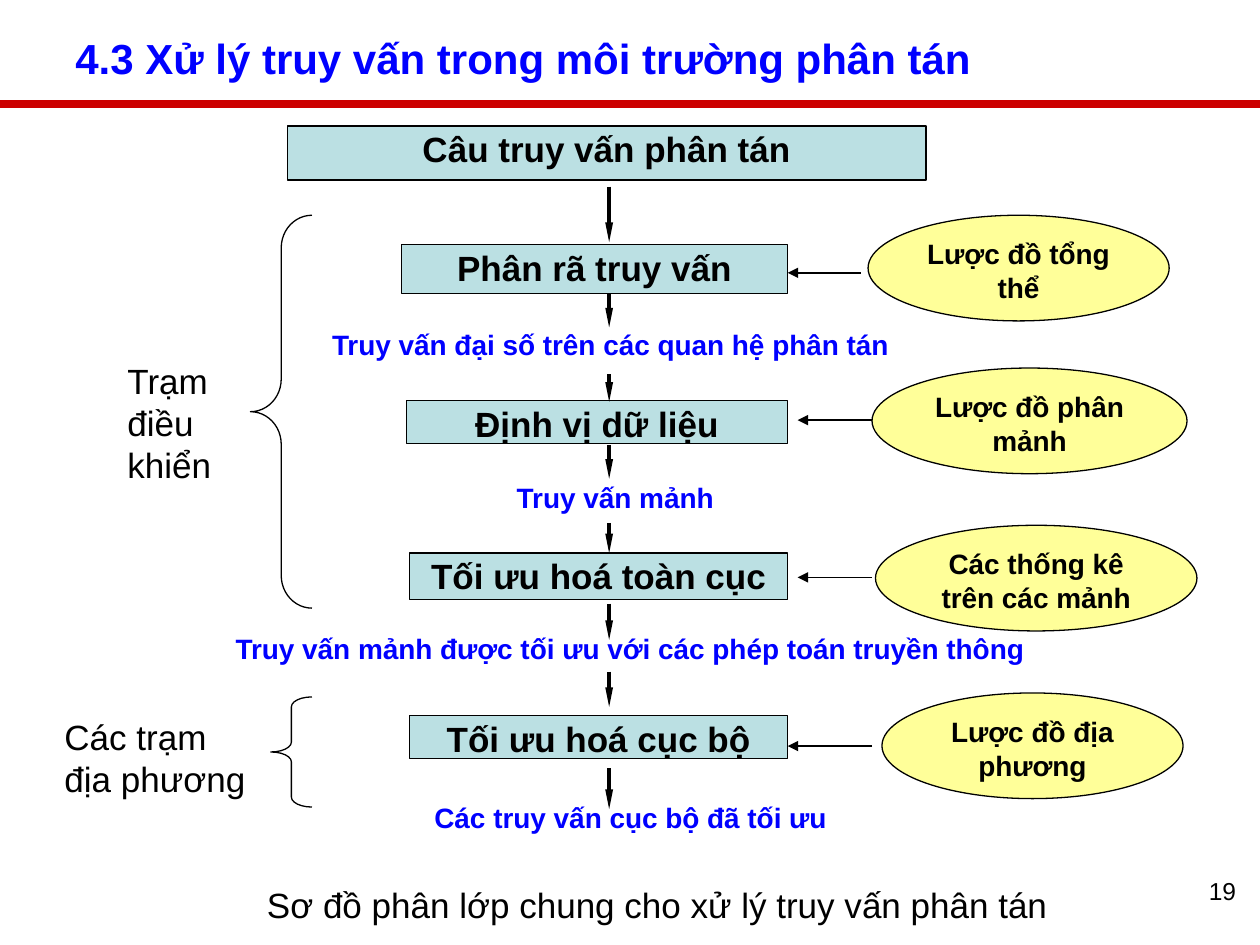
from lxml.etree import SubElement
from pptx import Presentation
from pptx.dml.color import RGBColor
from pptx.enum.shapes import MSO_CONNECTOR, MSO_SHAPE
from pptx.enum.text import MSO_ANCHOR, PP_ALIGN
from pptx.oxml.ns import qn
from pptx.util import Cm, Pt

C = {"black": "000000", "blue": "0000FF", "red": "CC0000", "white": "FFFFFF",
     "teal": "BBE0E3", "yellow": "FFFF99"}
WIDTH, HEIGHT = 25.4, 19.05

# All places are in cm: left, top, width, height
TITLE = ("4.3 Xử lý truy vấn trong môi trường phân tán", (1.27, 0.41, 21.16, 1.5))
PAGE_NUMBER = ("19", (21.79, 17.53, 3.38, 1.32))
RULE_Y = 2.1

STEPS = [
    ("Câu truy vấn phân tán", (5.79, 2.54, 12.88, 1.09)),
    ("Phân rã truy vấn", (8.1, 4.93, 7.77, 0.99)),
    ("Định vị dữ liệu", (8.2, 8.08, 7.67, 0.86)),
    ("Tối ưu hoá toàn cục", (8.26, 11.15, 7.62, 0.94)),
    ("Tối ưu hoá cục bộ", (8.26, 14.43, 7.62, 0.86)),
]
# text, place, left inset
RESULTS = [
    ("Truy vấn đại số trên các quan hệ phân tán", (5.77, 6.58, 13.08, 1.02), 0.03),
    ("Truy vấn mảnh", (9.53, 9.65, 5.28, 0.86), 0.5),
    ("Truy vấn mảnh được tối ưu với các phép toán truyền thông",
     (3.18, 12.7, 19.05, 0.91), 0.03),
    ("Các truy vấn cục bộ đã tối ưu", (6.68, 16.1, 12.07, 0.99), 0.03),
]
CAPTION = ("Sơ đồ phân lớp chung cho xử lý truy vấn phân tán", (2.97, 17.78, 20.57, 0.99))
# text, place, brace place, brace curve
SITES = [
    ("Trạm điều khiển", (2.54, 7.21, 2.06, 2.29), (5.05, 4.34, 1.24, 7.92), 0.53),
    ("Các trạm địa phương", (1.27, 14.4, 4.06, 1.55), (5.46, 14.05, 0.83, 2.22), 0.24),
]
# text, left, top, width, arrow start x, arrow end x, arrow y
INPUTS = [
    ("Lược đồ tổng thể", 17.5, 4.34, 6.07, 17.35, 15.88, 5.5),
    ("Lược đồ phân mảnh", 17.58, 7.42, 6.35, 17.58, 16.08, 8.47),
    ("Các thống kê trên các mảnh", 17.65, 10.59, 6.48, 17.58, 16.08, 11.64),
    ("Lược đồ địa phương", 17.78, 13.97, 6.07, 17.58, 15.88, 15.04),
]
INPUT_HEIGHT = 2.13
FLOW_X = 12.28
FLOW = [(3.76, 4.88), (5.92, 6.6), (7.54, 8.1), (8.97, 9.65),
        (10.54, 11.15), (12.17, 12.9), (13.54, 14.25), (15.49, 16.31)]


def rgb(name):
    return RGBColor.from_string(C[name])


def write(sp, text, size, color="black", bold=False, align=PP_ALIGN.CENTER,
          anchor=MSO_ANCHOR.TOP):
    tf = sp.text_frame
    tf.word_wrap = True
    tf.vertical_anchor = anchor
    tf.text = text
    p = tf.paragraphs[0]
    p.alignment = align
    font = p.runs[0].font
    font.name, font.size, font.bold = "Arial", Pt(size), bold
    font.color.rgb = rgb(color)


def add_shape(s, kind, place, fill=None, line=None):
    sp = s.shapes.add_shape(kind, *map(Cm, place))
    sp.shadow.inherit = False
    if fill:
        sp.fill.solid()
        sp.fill.fore_color.rgb = rgb(fill)
    else:
        sp.fill.background()
    if line:
        sp.line.color.rgb = rgb(line)
        sp.line.width = Pt(0.75)
    else:
        sp.line.fill.background()
    return sp


def add_box(s, place, fill="white", line=None, left_inset=0.03):
    """Rectangle with almost no text inset."""
    sp = add_shape(s, MSO_SHAPE.RECTANGLE, place, fill, line)
    tf = sp.text_frame
    tf.margin_left = Cm(left_inset)
    tf.margin_top = tf.margin_right = tf.margin_bottom = Cm(0.03)
    return sp


def add_line(s, x1, y1, x2, y2, width, color="black", head=None):
    """Straight line; head is (width, length) of an arrowhead at its end."""
    cn = s.shapes.add_connector(MSO_CONNECTOR.STRAIGHT, *map(Cm, (x1, y1, x2, y2)))
    cn.line.color.rgb = rgb(color)
    cn.line.width = Pt(width)
    if head:
        SubElement(cn.line._get_or_add_ln(), qn("a:tailEnd"),
                   type="triangle", w=head[0], len=head[1])
    SubElement(cn._element.spPr, qn("a:effectLst"))


def main():
    prs = Presentation()
    prs.slide_width, prs.slide_height = Cm(WIDTH), Cm(HEIGHT)
    s = prs.slides.add_slide(prs.slide_layouts[6])

    add_line(s, 0, RULE_Y, WIDTH, RULE_Y, 4.5, "red")
    text, place = TITLE
    write(s.shapes.add_textbox(*map(Cm, place)), text, 24, "blue", True,
          PP_ALIGN.LEFT, MSO_ANCHOR.MIDDLE)
    text, place = PAGE_NUMBER
    write(s.shapes.add_textbox(*map(Cm, place)), text, 14, align=PP_ALIGN.RIGHT)

    for text, place, inset in RESULTS:
        write(add_box(s, place, left_inset=inset), text, 16, "blue", True)
    for text, place in STEPS:
        write(add_box(s, place, "teal", "black"), text, 20, bold=True)
    text, place = CAPTION
    write(add_box(s, place), text, 20)

    for text, place, brace_place, curve in SITES:
        write(add_box(s, place), text, 20, align=PP_ALIGN.LEFT)
        brace = add_shape(s, MSO_SHAPE.LEFT_BRACE, brace_place, line="black")
        brace.adjustments[0] = curve

    for top, bottom in FLOW:
        add_line(s, FLOW_X, top, FLOW_X, bottom, 2.25, head=("sm", "lg"))
    for text, left, top, width, start, end, y in INPUTS:
        add_line(s, start, y, end, y, 1, head=("med", "med"))
        sp = add_shape(s, MSO_SHAPE.OVAL, (left, top, width, INPUT_HEIGHT),
                       "yellow", "black")
        write(sp, text, 16, bold=True)

    prs.save("out.pptx")


if __name__ == "__main__":
    main()
